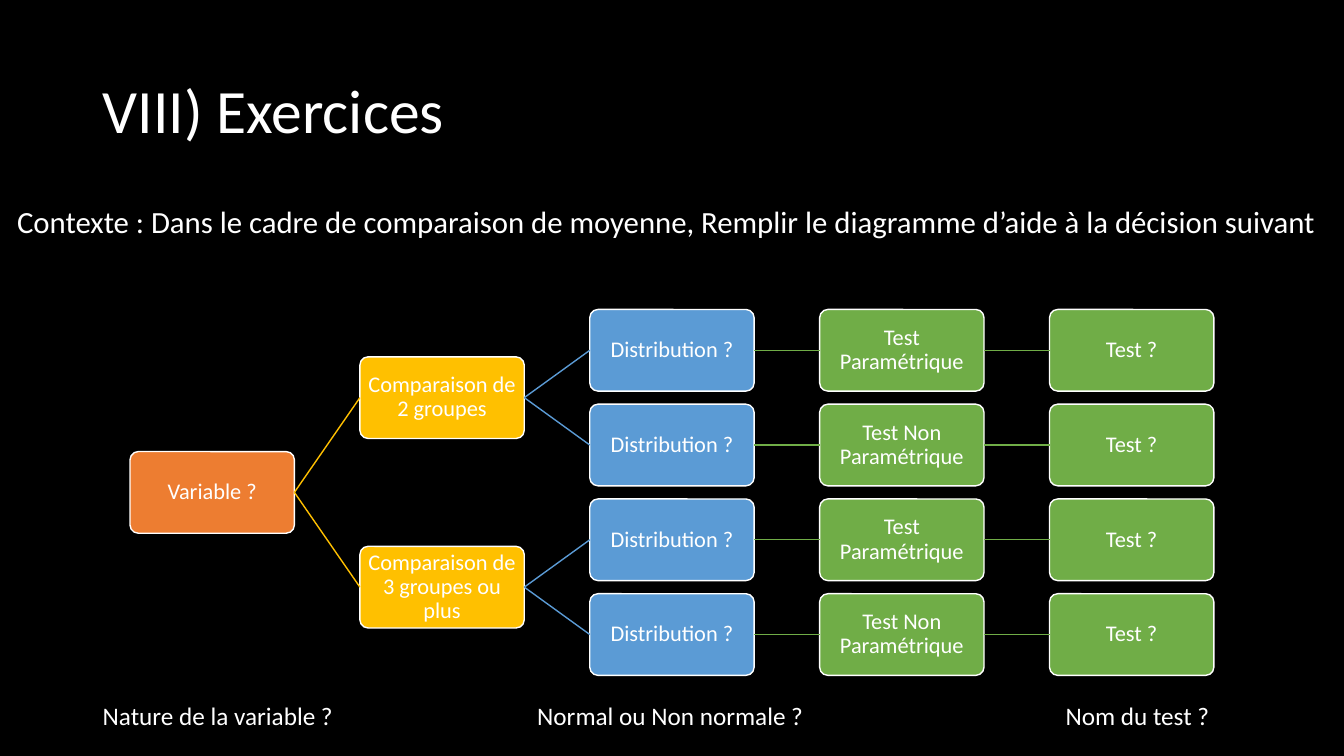
from dataclasses import dataclass, field

import pptx
import pptx.dml.color
import pptx.enum.shapes
import pptx.enum.text
import pptx.oxml
import pptx.oxml.ns
import pptx.shapes.autoshape
import pptx.slide
import pptx.text.text
import pptx.util

Inches = pptx.util.Inches
Anchor = pptx.enum.text.MSO_ANCHOR
Align = pptx.enum.text.PP_ALIGN


@dataclass(frozen=True)
class Theme:
    """Colours, font and type sizes."""
    font: str = "Calibri"
    background: str = "000000"
    text: str = "FFFFFF"
    level_fills: tuple[str, ...] = ("ED7D31", "FFC000", "5B9BD5", "70AD47", "70AD47")
    title_size: float = 44
    context_size: float = 22
    caption_size: float = 18
    node_size: float = 16
    line_width: float = 1


@dataclass(frozen=True)
class Grid:
    """Decision tree geometry in inches."""
    left: float = 1.29
    top: float = 3.07
    column_pitch: float = 2.28
    row_pitch: float = 0.94
    width: float = 1.63
    height: float = 0.81
    inset: float = 0.01


@dataclass(frozen=True)
class Node:
    """A decision with its row and its follow-up decisions."""
    label: str
    row: float
    children: list["Node"] = field(default_factory=list)


@dataclass(frozen=True)
class TextBlock:
    """A free text with its place in inches."""
    text: str
    left: float
    top: float
    width: float
    height: float
    size: float
    wrap: bool = True
    spacing: float = 0.9
    anchor: Anchor = Anchor.TOP
    left_inset: float = 0.1


THEME = Theme()
GRID = Grid()


def rgb(colour: str) -> pptx.dml.color.RGBColor:
    """Turn a hex string into a colour."""
    return pptx.dml.color.RGBColor.from_string(colour)


def write_text(frame: pptx.text.text.TextFrame, text: str, size: float, spacing: float, align: Align) -> None:
    """Fill a text frame with one styled paragraph."""
    frame.text = text
    paragraph = frame.paragraphs[0]
    paragraph.alignment = align
    paragraph.line_spacing = spacing
    font = paragraph.runs[0].font
    font.name = THEME.font
    font.size = pptx.util.Pt(size)
    font.color.rgb = rgb(THEME.text)


def draw_text(slide: pptx.slide.Slide, block: TextBlock) -> None:
    """Draw a free text block."""
    frame = slide.shapes.add_textbox(
        Inches(block.left), Inches(block.top), Inches(block.width), Inches(block.height)
    ).text_frame
    frame.word_wrap = block.wrap
    frame.vertical_anchor = block.anchor
    frame.margin_left = Inches(block.left_inset)
    write_text(frame, block.text, block.size, block.spacing, Align.LEFT)


def draw_box(slide: pptx.slide.Slide, node: Node, level: int) -> pptx.shapes.autoshape.Shape:
    """Draw the rounded box of a decision."""
    box = slide.shapes.add_shape(
        pptx.enum.shapes.MSO_SHAPE.ROUNDED_RECTANGLE,
        Inches(GRID.left + level * GRID.column_pitch),
        Inches(GRID.top + node.row * GRID.row_pitch),
        Inches(GRID.width),
        Inches(GRID.height),
    )
    box.adjustments[0] = 0.1
    box.shadow.inherit = False
    box.fill.solid()
    box.fill.fore_color.rgb = rgb(THEME.level_fills[level])
    box.line.color.rgb = rgb(THEME.text)
    box.line.width = pptx.util.Pt(THEME.line_width)
    frame = box.text_frame
    frame.word_wrap = True
    frame.vertical_anchor = Anchor.MIDDLE
    frame.margin_left = frame.margin_right = Inches(GRID.inset)
    frame.margin_top = frame.margin_bottom = Inches(GRID.inset)
    write_text(frame, node.label, THEME.node_size, 0.9, Align.CENTER)
    return box


def draw_branch(
    slide: pptx.slide.Slide,
    parent: pptx.shapes.autoshape.Shape,
    child: pptx.shapes.autoshape.Shape,
    colour: str,
) -> None:
    """Join the right side of a parent to the left side of its child."""
    branch = slide.shapes.add_connector(pptx.enum.shapes.MSO_CONNECTOR.STRAIGHT, 0, 0, 0, 0)
    branch.begin_connect(parent, 3)
    branch.end_connect(child, 1)
    branch.line.color.rgb = rgb(colour)
    branch.line.width = pptx.util.Pt(THEME.line_width)
    branch.element.spPr.append(pptx.oxml.parse_xml(f"<a:effectLst {pptx.oxml.ns.nsdecls('a')}/>"))


def draw_tree(slide: pptx.slide.Slide, node: Node, level: int = 0) -> pptx.shapes.autoshape.Shape:
    """Draw a decision and everything that follows from it."""
    box = draw_box(slide, node, level)
    for child in node.children:
        child_box = draw_tree(slide, child, level + 1)
        draw_branch(slide, box, child_box, THEME.level_fills[level + 1])
    return box


def comparison(label: str, first_row: int) -> Node:
    """Build a comparison with its two distribution branches."""
    families = ("Test Paramétrique", "Test Non Paramétrique")
    distributions = [
        Node("Distribution ?", row, [Node(family, row, [Node("Test ?", row)])])
        for row, family in enumerate(families, first_row)
    ]
    return Node(label, first_row + 0.5, distributions)


def caption(text: str, left: float, width: float) -> TextBlock:
    """Describe a caption below the tree."""
    return TextBlock(text, left, 6.9, width, 0.4, THEME.caption_size, wrap=False, spacing=1.0)


DECISIONS = Node("Variable ?", 1.5, [
    comparison("Comparaison de 2 groupes", 0),
    comparison("Comparaison de 3 groupes ou plus", 2),
])

TEXTS = (
    TextBlock("VIII) Exercices", 0.92, 0.4, 11.5, 1.45, THEME.title_size, anchor=Anchor.MIDDLE),
    TextBlock(
        "Contexte : Dans le cadre de comparaison de moyenne, "
        "Remplir le diagramme d’aide à la décision suivant",
        0, 2, 13.33, 0.5, THEME.context_size, left_inset=0.17,
    ),
    caption("Nature de la variable ?", 0.92, 2.51),
    caption("Normal ou Non normale ?", 5.23, 2.87),
    caption("Nom du test ?", 10.47, 1.71),
)


def main() -> None:
    """Build and save the slide."""
    deck = pptx.Presentation()
    deck.slide_width, deck.slide_height = Inches(13.33), Inches(7.5)
    slide = deck.slides.add_slide(deck.slide_layouts[6])
    slide.background.fill.solid()
    slide.background.fill.fore_color.rgb = rgb(THEME.background)
    for block in TEXTS:
        draw_text(slide, block)
    draw_tree(slide, DECISIONS)
    deck.save("out.pptx")


if __name__ == "__main__":
    main()
